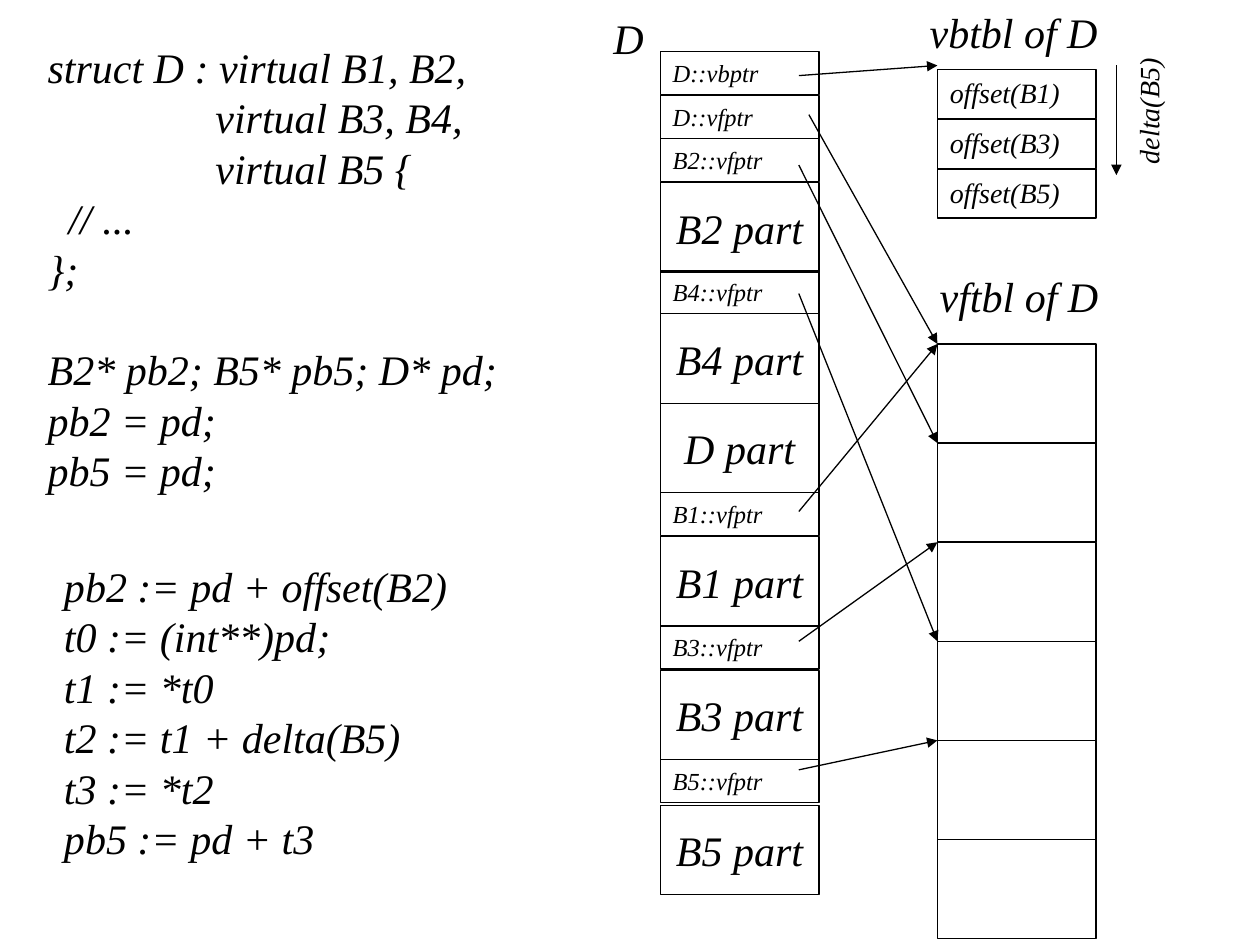
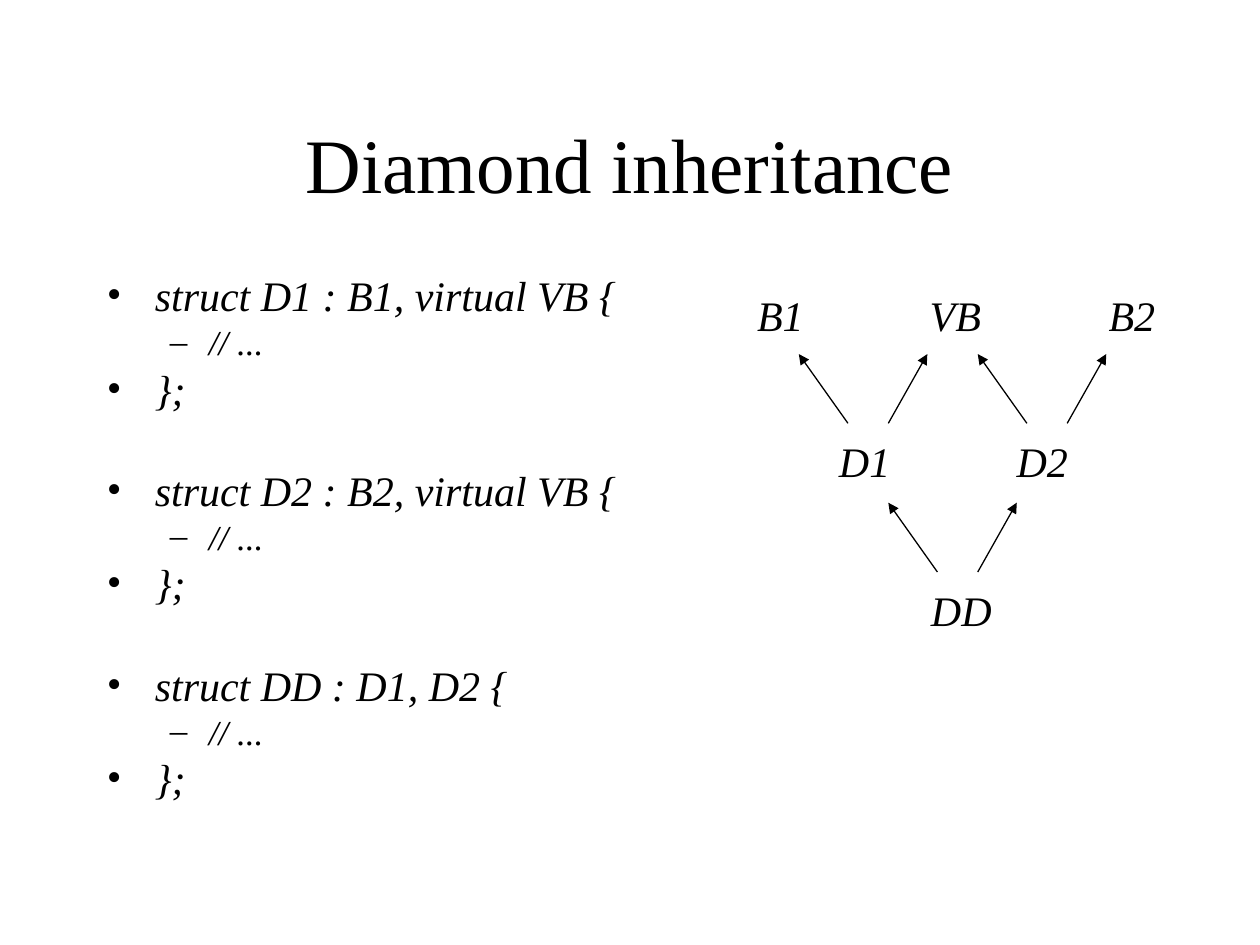
from lxml import etree
from pptx import Presentation
from pptx.dml.color import RGBColor
from pptx.enum.shapes import MSO_CONNECTOR, MSO_SHAPE
from pptx.enum.text import MSO_ANCHOR, MSO_AUTO_SIZE, PP_ALIGN
from pptx.oxml.ns import qn
from pptx.util import Inches, Pt

FONT = "Times New Roman"
INK = "000000"
LINE_WIDTH = 0.75
CODE_SIZE = 24
CODE_LINE = 28.8  # height of one code line in points
CELL_WIDTH = 1.26


def color(hex_string):
    return RGBColor.from_string(hex_string)


def add_span(para, text, size, italic=True):
    span = para.add_run()
    span.text = text
    span.font.name = FONT
    span.font.size = Pt(size)
    span.font.italic = italic
    span.font.color.rgb = color(INK)


def add_text(page, left, top, width, height, lines, size=CODE_SIZE):
    """Add a text box; a None in lines opens a one-line gap before the next line."""
    box = page.shapes.add_textbox(Inches(left), Inches(top), Inches(width), Inches(height))
    frame = box.text_frame
    frame.word_wrap = True
    frame.auto_size = MSO_AUTO_SIZE.NONE
    para, gap = frame.paragraphs[0], False
    for index, line in enumerate(lines):
        if line is None:
            gap = True
            continue
        if index:
            para = frame.add_paragraph()
        if gap:
            para.space_before = Pt(CODE_LINE)
            gap = False
        add_span(para, line, size)
    return box


def add_cell(page, left, top, height, text="", size=CODE_SIZE, centered=False):
    cell = page.shapes.add_shape(MSO_SHAPE.RECTANGLE, Inches(left), Inches(top),
                                 Inches(CELL_WIDTH), Inches(height))
    cell.shadow.inherit = False
    cell.fill.background()
    cell.line.color.rgb = color(INK)
    cell.line.width = Pt(LINE_WIDTH)
    if text:
        frame = cell.text_frame
        frame.word_wrap = not centered
        frame.vertical_anchor = MSO_ANCHOR.MIDDLE if centered else MSO_ANCHOR.TOP
        para = frame.paragraphs[0]
        para.alignment = PP_ALIGN.CENTER if centered else PP_ALIGN.LEFT
        add_span(para, text, size)


def add_arrow(page, start, end):
    arrow = page.shapes.add_connector(MSO_CONNECTOR.STRAIGHT,
                                      *(Inches(value) for value in (*start, *end)))
    arrow.line.color.rgb = color(INK)
    arrow.line.width = Pt(LINE_WIDTH)
    head = etree.SubElement(arrow.line._get_or_add_ln(), qn("a:tailEnd"))
    head.set("type", "triangle")
    etree.SubElement(arrow._element.spPr, qn("a:effectLst"))


def add_object_layout(page, left, top):
    """Stack the pointers and the parts of a D object."""
    add_text(page, left - 0.47, top - 0.36, 0.5, 0.5, ["D"])
    pointers = {"D::vbptr": 0, "D::vfptr": 0.35, "B2::vfptr": 0.69, "B4::vfptr": 1.74,
                "B1::vfptr": 3.5, "B3::vfptr": 4.56, "B5::vfptr": 5.62}
    parts = {"B2": 1.04, "B4": 2.08, "D": 2.79, "B1": 3.85, "B3": 4.91, "B5": 5.98}
    for name, offset in pointers.items():
        add_cell(page, left, top + offset, 0.34, name, 14)
    for name, offset in parts.items():
        add_cell(page, left, top + offset, 0.71, f"{name} part", centered=True)


def add_offset_table(page, left, top):
    add_text(page, left - 0.16, top - 0.55, 1.65, 0.5, ["vbtbl of D"])
    for row, base in enumerate(("B1", "B3", "B5")):
        add_cell(page, left, top + row * 0.395, 0.39, f"offset({base})", 16)
    add_arrow(page, (left + 1.42, top - 0.03), (left + 1.42, top + 0.84))
    label = add_text(page, left + 1.11, top + 0.1, 1.13, 0.37, ["delta(B5)"], 16)
    label.rotation = 270


def add_function_table(page, left, top, pointer_ends):
    """Draw the six slots and an arrow to a slot from each pointer end."""
    slot_pitch = 4.72 / 6
    add_text(page, left - 0.08, top - 0.63, 1.54, 0.5, ["vftbl of D"])
    for slot in range(6):
        add_cell(page, left, top + slot * slot_pitch, slot_pitch)
    for start, slot in pointer_ends:
        add_arrow(page, start, (left, top + slot * slot_pitch))


def build_layout_slide(deck):
    page = deck.slides.add_slide(deck.slide_layouts[6])
    indent = " " * 16
    add_text(page, 0.28, 0.28, 3.9, 3.7, [
        "struct D : virtual B1, B2,",
        indent + "virtual B3, B4,",
        indent + "virtual B5 {",
        "  // ...",
        "};",
        None,
        "B2* pb2; B5* pb5; D* pd;",
        "pb2 = pd;",
        "pb5 = pd;",
    ])
    add_text(page, 0.41, 4.4, 3.4, 2.5, [
        "pb2 := pd + offset(B2)",
        "t0 := (int**)pd;",
        "t1 := *t0",
        "t2 := t1 + delta(B5)",
        "t3 := *t2",
        "pb5 := pd + t3",
    ])
    add_object_layout(page, 5.24, 0.41)
    add_offset_table(page, 7.44, 0.55)
    add_arrow(page, (6.34, 0.6), (7.44, 0.52))
    add_function_table(page, 7.44, 2.73, [
        ((6.42, 0.91), 0), ((6.34, 1.31), 1), ((6.34, 2.33), 3),
        ((6.34, 4.06), 0), ((6.34, 5.09), 2), ((6.34, 6.11), 4),
    ])


def set_title(page, text):
    title = page.shapes.title
    title.left, title.top, title.width, title.height = (
        Inches(value) for value in (0.75, 0.67, 8.5, 1.25))
    title.text_frame.vertical_anchor = MSO_ANCHOR.MIDDLE
    para = title.text_frame.paragraphs[0]
    para.alignment = PP_ALIGN.CENTER
    add_span(para, text, 44, italic=False)


def set_bullet(para, mark, margin, hanging):
    props = para._p.get_or_add_pPr()
    props.set("marL", str(Inches(margin)))
    props.set("indent", str(-Inches(hanging)))
    etree.SubElement(props, qn("a:buFont")).set("typeface", FONT)
    etree.SubElement(props, qn("a:buChar")).set("char", mark)


def add_declarations(page, left, top, heads):
    """List each struct as bullets, with its body one level down."""
    box = page.shapes.add_textbox(Inches(left), Inches(top), Inches(4.41), Inches(4.5))
    frame = box.text_frame
    frame.word_wrap = True
    para = frame.paragraphs[0]
    for index, head in enumerate(heads):
        group_gap = 35 if index else 0
        for text, level, space in ((head, 0, group_gap), ("// ...", 1, 5), ("};", 0, 6)):
            if space:
                para = frame.add_paragraph()
                para.space_before = Pt(space)
            para.level = level
            para.line_spacing = 0.8
            if level:
                set_bullet(para, "–", 0.81, 0.31)
            else:
                set_bullet(para, "•", 0.38, 0.38)
            add_span(para, text, 20 if level else CODE_SIZE)


def add_class_diagram(page, left, top):
    classes = [("B1", 0, 0), ("VB", 1.37, 0), ("B2", 2.79, 0),
               ("D1", 0.65, 1.16), ("D2", 2.06, 1.16), ("DD", 1.38, 2.34)]
    for name, across, down in classes:
        add_text(page, left + across, top + down, 0.72, 0.5, [name])
    for across, down in ((0.82, 1.11), (2.24, 1.11), (1.53, 2.29)):
        x, y = left + across, top + down
        add_arrow(page, (x, y), (x - 0.39, y - 0.55))
        add_arrow(page, (x + 0.32, y), (x + 0.63, y - 0.55))


def build_diamond_slide(deck):
    page = deck.slides.add_slide(deck.slide_layouts[5])
    set_title(page, "Diamond inheritance")
    add_declarations(page, 0.75, 2.17, [
        "struct D1 : B1, virtual VB {",
        "struct D2 : B2, virtual VB {",
        "struct DD : D1, D2 {",
    ])
    add_class_diagram(page, 5.91, 2.25)


def main():
    deck = Presentation()
    deck.slide_width, deck.slide_height = Inches(10), Inches(7.5)
    build_layout_slide(deck)
    build_diamond_slide(deck)
    deck.save("out.pptx")


if __name__ == "__main__":
    main()
